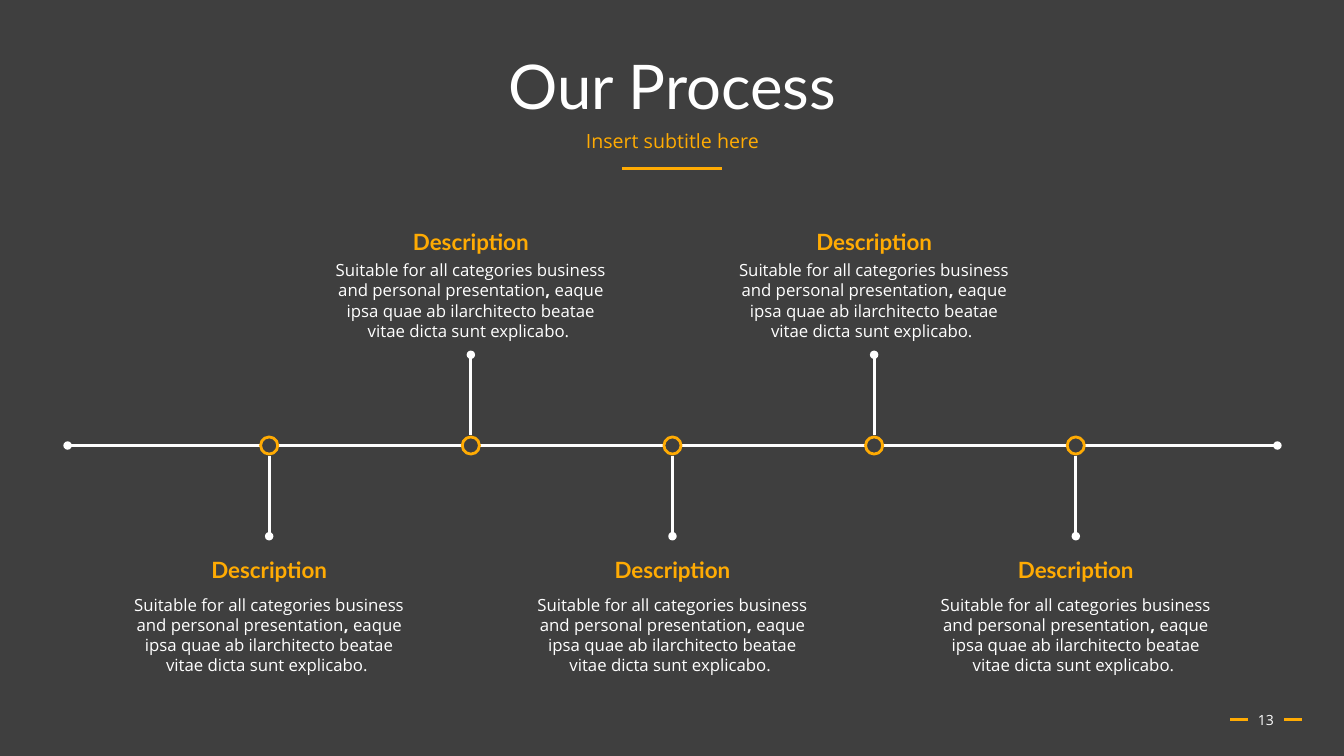
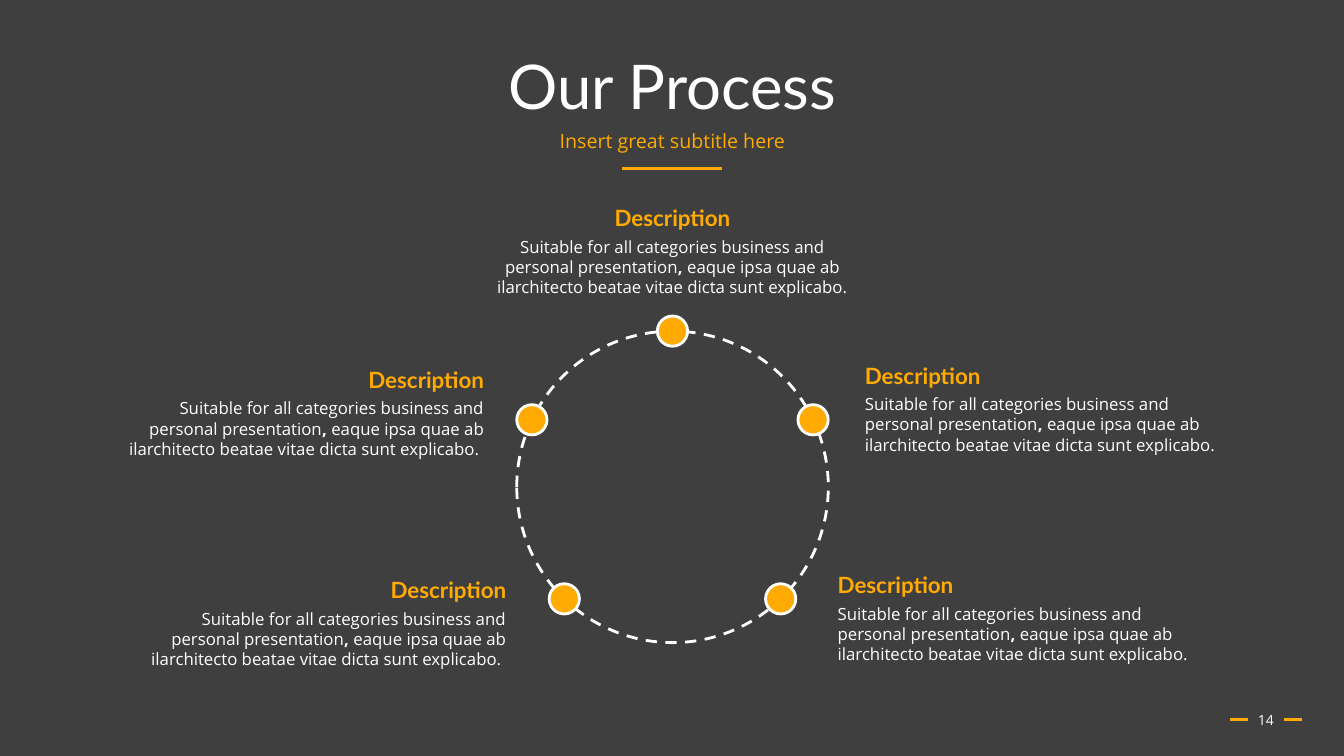
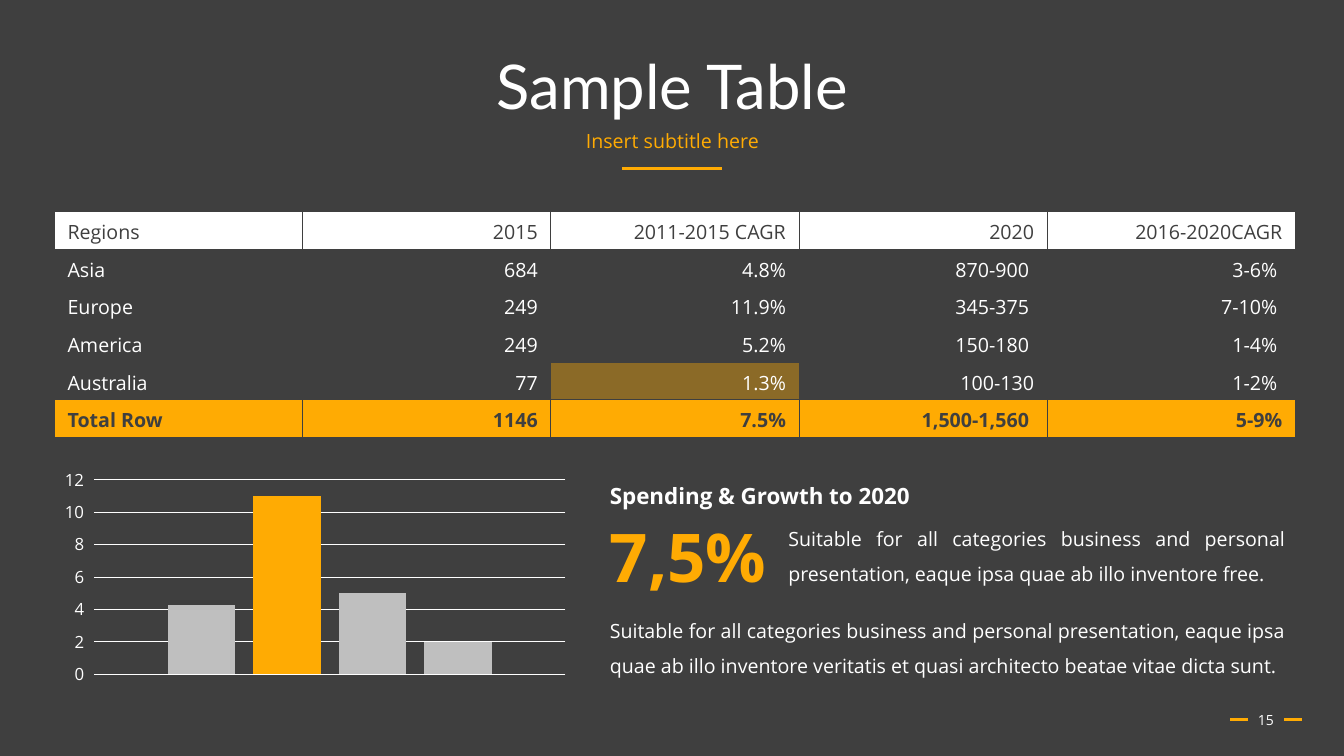
"""Build three dark slides: a timeline, a cycle, and a table with a chart."""
from dataclasses import dataclass
from math import cos, radians, sin
from typing import Any, NamedTuple

from lxml.etree import SubElement
from pptx import Presentation
from pptx.chart.data import CategoryChartData
from pptx.dml.color import RGBColor
from pptx.enum.chart import XL_CHART_TYPE, XL_TICK_MARK
from pptx.enum.dml import MSO_LINE
from pptx.enum.shapes import MSO_CONNECTOR, MSO_SHAPE
from pptx.enum.text import MSO_ANCHOR, MSO_AUTO_SIZE, PP_ALIGN
from pptx.oxml.ns import qn
from pptx.slide import Slide
from pptx.util import Inches, Pt


class TextStyle(NamedTuple):
    """Font, size, colour and weight of a text."""
    font: str
    size: int
    color: str
    bold: bool = False


@dataclass(frozen=True)
class Theme:
    """Colours and type styles of the deck."""
    dark: str = "3F3F3F"
    white: str = "FFFFFF"
    accent: str = "FFAB03"
    grey: str = "BFBFBF"
    line: float = 2
    rule: float = 1.75
    title: TextStyle = TextStyle("Lato", 44, white)
    heading: TextStyle = TextStyle("Lato", 16, accent, True)
    subtitle: TextStyle = TextStyle("Open Sans", 14, accent)
    body: TextStyle = TextStyle("Open Sans", 12, white)
    number: TextStyle = TextStyle("Open Sans", 10, white)
    copy: TextStyle = TextStyle("Open Sans", 14, white)
    header_cell: TextStyle = TextStyle("Open Sans", 14, dark)
    total_cell: TextStyle = TextStyle("Open Sans", 14, dark, True)
    lead: TextStyle = TextStyle("Open Sans", 16, white, True)
    figure: TextStyle = TextStyle("Open Sans", 48, accent, True)


class Box(NamedTuple):
    """Left, top, width and height in inches."""
    left: float
    top: float
    width: float
    height: float

    def emu(self) -> list[int]:
        """Return the four lengths for python-pptx."""
        return [Inches(length) for length in self]


class Callout(NamedTuple):
    """A heading with a description, aligned on one vertical."""
    x: float
    top: float
    align: PP_ALIGN
    width: float
    height: float = 0.71
    gap: float = 0.32


THEME = Theme()
LEFT, CENTER, RIGHT, JUSTIFY = PP_ALIGN.LEFT, PP_ALIGN.CENTER, PP_ALIGN.RIGHT, PP_ALIGN.JUSTIFY
ALIGN_SHARE = {LEFT: 0, CENTER: 0.5, RIGHT: 1}
GROW = {"auto_size": MSO_AUTO_SIZE.SHAPE_TO_FIT_TEXT}
MIDDLE = {"vertical_anchor": MSO_ANCHOR.MIDDLE}
DESCRIPTION = (
    ("Suitable for all categories business and personal presentation", False),
    (",", True),
    (" eaque ipsa quae ab ilarchitecto beatae vitae dicta sunt explicabo. ", False),
)
REGIONS = (
    ("Regions", "2015", "2011-2015 CAGR", "2020", "2016-2020CAGR"),
    ("Asia", "684", "4.8%", " 870-900 ", " 3-6% "),
    ("Europe", "249", "11.9%", " 345-375 ", " 7-10% "),
    ("America", "249", "5.2%", " 150-180 ", "1-4% "),
    ("Australia", "77", "1.3%", "100-130", "1-2% "),
    ("Total Row", "1146", "7.5%", " 1,500-1,560 ", " 5-9%"),
)
HIGHLIGHT = (4, 2)
BARS = ((4.3, THEME.grey), (11, THEME.accent), (5, THEME.grey), (2, THEME.grey))


def rgb(color: str) -> RGBColor:
    """Turn a hex string into a colour."""
    return RGBColor.from_string(color)


def apply(target: Any, values: dict[str, Any]) -> None:
    """Set every format value on the target."""
    for name, value in values.items():
        setattr(target, name, value)


def style_font(font: Any, style: TextStyle) -> None:
    """Give a font the look of a text style."""
    apply(font, {"name": style.font, "size": Pt(style.size), "bold": style.bold})
    font.color.rgb = rgb(style.color)


def add_text(slide: Slide, box: Box, runs: str | tuple, style: TextStyle, align: PP_ALIGN,
             frame: dict[str, Any] = GROW, spacing: dict[str, Any] | None = None) -> None:
    """Add a text box of one paragraph."""
    text_frame = slide.shapes.add_textbox(*box.emu()).text_frame
    apply(text_frame, {"word_wrap": True, **frame})
    paragraph = text_frame.paragraphs[0]
    apply(paragraph, {"alignment": align, **(spacing or {})})
    for words, bold in ((runs, style.bold),) if isinstance(runs, str) else runs:
        run = paragraph.add_run()
        run.text = words
        style_font(run.font, style._replace(bold=bold))


def add_line(slide: Slide, start: tuple[float, float], end: tuple[float, float],
             color: str, width: float, ovals: tuple[str, ...] = ()) -> None:
    """Add a straight line with oval ends where asked."""
    connector = slide.shapes.add_connector(
        MSO_CONNECTOR.STRAIGHT, *(Inches(length) for length in (*start, *end)))
    connector.line.color.rgb = rgb(color)
    connector.line.width = Pt(width)
    properties = connector._element.spPr
    for tag in ovals:
        SubElement(properties.find(qn("a:ln")), qn(tag), type="oval")
    SubElement(properties, qn("a:effectLst"))


def add_circle(slide: Slide, x: float, y: float, diameter: float, line: str,
               fill: str | None = None, dash: MSO_LINE | None = None) -> None:
    """Add a circle around a centre."""
    box = Box(x - diameter / 2, y - diameter / 2, diameter, diameter)
    circle = slide.shapes.add_shape(MSO_SHAPE.OVAL, *box.emu())
    circle.shadow.inherit = False
    if fill:
        circle.fill.solid()
        circle.fill.fore_color.rgb = rgb(fill)
    else:
        circle.fill.background()
    circle.line.color.rgb = rgb(line)
    apply(circle.line, {"width": Pt(THEME.line), "dash_style": dash})


def add_callout(slide: Slide, callout: Callout) -> None:
    """Add a heading and its description."""
    parts = (
        (callout.top, 2.28, 0.37, "Description", THEME.heading),
        (callout.top + callout.gap, callout.width, callout.height, DESCRIPTION, THEME.body),
    )
    for top, width, height, words, style in parts:
        left = callout.x - width * ALIGN_SHARE[callout.align]
        add_text(slide, Box(left, top, width, height), words, style, callout.align)


def add_page(deck: Any, title: str, subtitle: str, number: int) -> Slide:
    """Add a slide with the shared title, rules and page number."""
    slide = deck.slides.add_slide(deck.slide_layouts[6])
    for start, end, y in ((6.17, 7.16, 1.67), (12.2, 12.38, 7.14), (12.74, 12.91, 7.14)):
        add_line(slide, (start, y), (end, y), THEME.accent, THEME.rule)
    add_text(slide, Box(0.92, 0.4, 11.5, 0.98), title, THEME.title, CENTER, MIDDLE,
             {"line_spacing": 0.9})
    add_text(slide, Box(12.26, 6.94, 0.59, 0.4), str(number), THEME.number, CENTER, MIDDLE)
    add_text(slide, Box(0.92, 1.26, 11.5, 0.4), subtitle, THEME.subtitle, CENTER, {},
             {"line_spacing": 0.9, "space_before": Pt(10)})
    return slide


def add_timeline(slide: Slide) -> None:
    """Draw five steps that hang below and stand above a line."""
    start, end, y, steps = 0.67, 12.67, 4.42, 5
    add_line(slide, (start, y), (end, y), THEME.white, THEME.line, ("a:headEnd", "a:tailEnd"))
    for step in range(steps):
        x = start + (end - start) * (step + 1) / (steps + 1)
        add_circle(slide, x, y, 0.17, THEME.accent, THEME.dark)
        if step % 2:
            add_line(slide, (x, y - 0.9), (x, y - 0.1), THEME.white, THEME.line, ("a:headEnd",))
            add_callout(slide, Callout(x, 2.21, CENTER, 2.92, 0.91))
        else:
            add_line(slide, (x, y + 0.1), (x, y + 0.9), THEME.white, THEME.line, ("a:tailEnd",))
            add_callout(slide, Callout(x, 5.47, CENTER, 2.92, 0.91, 0.38))


def add_cycle(slide: Slide) -> None:
    """Draw five stages on a dashed ring."""
    x, y, diameter = 6.67, 4.83, 3.09
    stages = (
        (90, Callout(x, 1.98, CENTER, 3.68)),
        (25.5, Callout(8.48, 3.54, LEFT, 3.78)),
        (-46, Callout(8.21, 5.62, LEFT, 3.78)),
        (154.5, Callout(4.9, 3.58, RIGHT, 3.81)),
        (-134, Callout(5.12, 5.67, RIGHT, 3.81)),
    )
    add_circle(slide, x, y, diameter, THEME.white, dash=MSO_LINE.DASH)
    for degrees, callout in stages:
        angle = radians(degrees)
        add_circle(slide, x + diameter / 2 * cos(angle), y - diameter / 2 * sin(angle),
                   0.3, THEME.white, THEME.accent)
        add_callout(slide, callout)


def style_cell(cell: Any, style: TextStyle, align: PP_ALIGN, fill: str | None) -> None:
    """Format the text, borders and fill of a cell."""
    apply(cell, {"margin_left": Inches(0.13), "margin_right": Inches(0.13),
                 "margin_top": Inches(0.07), "margin_bottom": Inches(0.07)})
    paragraph = cell.text_frame.paragraphs[0]
    paragraph.alignment = align
    style_font(paragraph.runs[0].font, style)
    properties = cell._tc.get_or_add_tcPr()
    for side in ("a:lnL", "a:lnR", "a:lnT", "a:lnB"):
        border = SubElement(properties, qn(side), w=str(Pt(1)))
        SubElement(SubElement(border, qn("a:solidFill")), qn("a:srgbClr"), val=THEME.dark)
    if fill:
        cell.fill.solid()
        cell.fill.fore_color.rgb = rgb(fill)
    else:
        cell.fill.background()


def add_regions(slide: Slide) -> None:
    """Add the table of regions."""
    rows, columns = len(REGIONS), len(REGIONS[0])
    table = slide.shapes.add_table(rows, columns, *Box(0.54, 2.1, 12.31, 2.2).emu()).table
    apply(table, {"first_row": False, "horz_banding": False})
    row_looks = {0: (THEME.header_cell, THEME.white), rows - 1: (THEME.total_cell, THEME.accent)}
    for row, values in enumerate(REGIONS):
        style, fill = row_looks.get(row, (THEME.copy, None))
        for column, value in enumerate(values):
            cell = table.cell(row, column)
            cell.text = value
            style_cell(cell, style, RIGHT if column else LEFT, fill)
    highlight = table.cell(*HIGHLIGHT)
    highlight.fill.solid()
    highlight.fill.fore_color.rgb = rgb(THEME.accent)
    tint = highlight._tc.tcPr.find(qn("a:solidFill")).find(qn("a:srgbClr"))
    SubElement(tint, qn("a:alpha"), val="40000")


def add_growth_chart(slide: Slide) -> None:
    """Add the column chart with one accented bar."""
    growth = CategoryChartData()
    growth.categories = ["1"]
    for index, (value, _) in enumerate(BARS, 1):
        growth.add_series(f"Series {index}", [value])
    chart = slide.shapes.add_chart(
        XL_CHART_TYPE.COLUMN_CLUSTERED, *Box(0.54, 4.6, 5.17, 2.25).emu(), growth).chart
    apply(chart, {"has_legend": False, "has_title": False})
    style_font(chart.font, THEME.number)
    chart.category_axis.visible = False
    scale = chart.value_axis
    apply(scale, {"minimum_scale": 0, "maximum_scale": 12, "major_unit": 2,
                  "major_tick_mark": XL_TICK_MARK.OUTSIDE, "has_major_gridlines": True})
    style_font(scale.tick_labels.font, THEME.body)
    scale.format.line.fill.background()
    scale.major_gridlines.format.line.color.rgb = rgb(THEME.white)
    scale.major_gridlines.format.line.width = Pt(0.75)
    columns = chart.plots[0]
    apply(columns, {"gap_width": 219, "overlap": -27, "vary_by_categories": False})
    for series, (_, color) in zip(columns.series, BARS):
        series.format.fill.solid()
        series.format.fill.fore_color.rgb = rgb(color)


def add_growth_text(slide: Slide) -> None:
    """Add the key figure and the texts around it."""
    texts = (
        (Box(5.95, 5.97, 6.9, 0.81), "Suitable for all categories business and personal "
         "presentation, eaque ipsa quae ab illo inventore veritatis et quasi architecto "
         "beatae vitae dicta sunt.", THEME.copy),
        (Box(5.95, 4.6, 5.72, 0.46), "Spending & Growth to 2020", THEME.lead),
        (Box(7.72, 5.06, 5.13, 0.77), "Suitable for all categories business and personal "
         "presentation, eaque ipsa quae ab illo inventore free.", THEME.copy),
    )
    for box, words, style in texts:
        add_text(slide, box, words, style, JUSTIFY, spacing={"line_spacing": 1.5})
    add_text(slide, Box(5.95, 5.06, 1.77, 0.91), "7,5%", THEME.figure, LEFT,
             {**GROW, "word_wrap": False})


def main() -> None:
    """Build and save the deck."""
    deck = Presentation()
    apply(deck, {"slide_width": Inches(13.33), "slide_height": Inches(7.5)})
    backdrop = deck.slide_master.background.fill
    backdrop.solid()
    backdrop.fore_color.rgb = rgb(THEME.dark)
    add_timeline(add_page(deck, "Our Process", "Insert subtitle here", 13))
    add_cycle(add_page(deck, "Our Process", "Insert great subtitle here", 14))
    sample = add_page(deck, "Sample Table", "Insert subtitle here", 15)
    for add_part in (add_regions, add_growth_chart, add_growth_text):
        add_part(sample)
    deck.save("out.pptx")


main()
